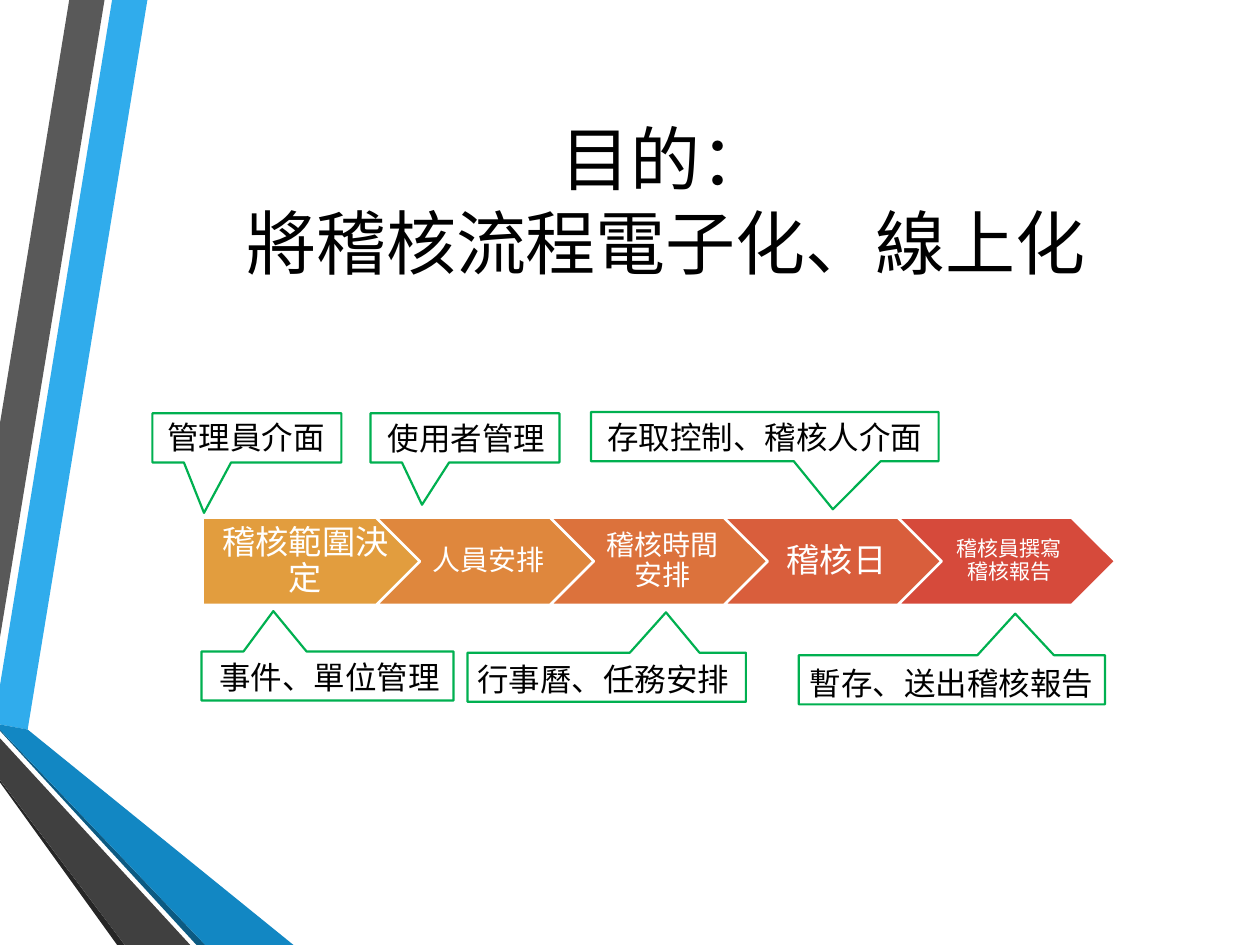
import pptx
import pptx.util
import pptx.dml.color
import pptx.enum.shapes
import pptx.enum.text

Inches = pptx.util.Inches
Pt = pptx.util.Pt
SHAPES = pptx.enum.shapes.MSO_SHAPE
MIDDLE = pptx.enum.text.MSO_ANCHOR.MIDDLE
CENTER = pptx.enum.text.PP_ALIGN.CENTER

deck = pptx.Presentation()
deck.slide_width = Inches(10)
deck.slide_height = Inches(7.5)
page = deck.slides.add_slide(deck.slide_layouts[6])


def paint(shape, fill, line=None):
    """Give a shape a solid fill and an optional outline, without shadow."""
    shape.shadow.inherit = False
    shape.fill.solid()
    shape.fill.fore_color.rgb = pptx.dml.color.RGBColor.from_string(fill)
    if line:
        shape.line.color.rgb = pptx.dml.color.RGBColor.from_string(line)
        shape.line.width = Pt(1.25)
    else:
        shape.line.fill.background()


def write(area, text, size, color="000000", font="Calibri", wrap=True):
    """Add a text box with one paragraph and return its frame."""
    box = page.shapes.add_textbox(*[Inches(length) for length in area])
    frame = box.text_frame
    frame.word_wrap = wrap
    frame.text = text
    for span in frame.paragraphs[0].runs:
        span.font.size = Pt(size)
        span.font.name = font
        span.font.color.rgb = pptx.dml.color.RGBColor.from_string(color)
    return frame


# Decorative ribbons on the left edge
ribbons = [
    ("30ACEC", [(0, 5.44), (0, 5.75), (0.22, 5.79), (1.17, 0), (0.89, 0)]),
    ("595959", [(0.83, 0), (0.55, 0), (0, 3.36), (0, 5.06)]),
    ("262626", [(0, 6.19), (0, 6.21), (0.93, 7.5), (0.99, 7.5)]),
    ("0C5A82", [(0, 5.79), (0, 5.8), (1.56, 7.5), (1.63, 7.5)]),
    ("1287C3", [(0, 5.79), (1.63, 7.5), (2.33, 7.5), (0.22, 5.79), (0, 5.75)]),
    ("404040", [(0, 6.19), (0.99, 7.5), (1.51, 7.5), (0, 5.86)]),
]
for color, points in ribbons:
    corners = [(Inches(x), Inches(y)) for x, y in points]
    builder = page.shapes.build_freeform(*corners[0])
    builder.add_line_segments(corners[1:], close=True)
    paint(builder.convert_to_shape(), color)

# Title
title = write((1.07, 0.5, 8.43, 2.17), "目的：\v將稽核流程電子化、線上化", 40,
              font="Noto Sans CJK SC")
title.vertical_anchor = MIDDLE
title.paragraphs[0].alignment = CENTER

# Process arrows
STEP_LEFT, STEP_TOP, STEP_PITCH = 1.61, 4.11, 1.38
STEP_WIDTH, STEP_HEIGHT = 1.72, 0.69
steps = [
    ("稽核範圍決定", 19, "E29D3E"),
    ("人員安排", 16, "DF873D"),
    ("稽核時間安排", 16, "DC723C"),
    ("稽核日", 19, "D95E3C"),
    ("稽核員撰寫稽核報告", 12, "D64A3B"),
]
for index, (label, size, color) in enumerate(steps):
    left = STEP_LEFT + index * STEP_PITCH
    kind = SHAPES.CHEVRON if index else SHAPES.PENTAGON
    arrow = page.shapes.add_shape(kind, Inches(left), Inches(STEP_TOP),
                                  Inches(STEP_WIDTH), Inches(STEP_HEIGHT))
    paint(arrow, color, "FFFFFF")
    text_left, text_width = (left + 0.35, 1.03) if index else (left, 1.55)
    frame = write((text_left, STEP_TOP, text_width, STEP_HEIGHT), label, size, "FFFFFF")
    frame.vertical_anchor = MIDDLE
    frame.margin_left = Inches(size * 0.0042 if index else 0.11)
    frame.margin_right = Inches(0.02 if size < 19 else 0.03)
    frame.margin_top = frame.margin_bottom = Inches(size * 0.0032)
    frame.paragraphs[0].alignment = CENTER
    frame.paragraphs[0].line_spacing = 0.9

# Callouts: left, top, width, pointer x and y, label, label left, top, width
callouts = [
    (1.21, 3.28, 1.5, -0.227, 1.527, "管理員介面", 1.23, 3.27, 1.46),
    (1.6, 5.17, 2, -0.215, -1.321, "事件、單位管理", 1.64, 5.17, 1.97),
    (2.94, 3.28, 1.5, -0.227, 1.361, "使用者管理", 2.98, 3.28, 1.46),
    (3.71, 5.18, 2.21, 0.213, -1.321, "行事曆、任務安排", 3.69, 5.19, 2.22),
    (4.69, 3.27, 2.76, 0.196, 1.479, "存取控制、稽核人介面", 4.72, 3.27, 2.73),
    (6.34, 5.2, 2.43, 0.207, -1.345, "暫存、送出稽核報告", 6.33, 5.22, 2.47),
]
for left, top, width, tip_x, tip_y, label, text_left, text_top, text_width in callouts:
    callout = page.shapes.add_shape(SHAPES.RECTANGULAR_CALLOUT, Inches(left), Inches(top),
                                    Inches(width), Inches(0.39))
    callout.adjustments[0] = tip_x
    callout.adjustments[1] = tip_y
    paint(callout, "FFFFFF", "00B050")
    frame = write((text_left, text_top, text_width, 0.4), label, 18, wrap=False)
    frame.auto_size = pptx.enum.text.MSO_AUTO_SIZE.SHAPE_TO_FIT_TEXT

deck.save("out.pptx")
